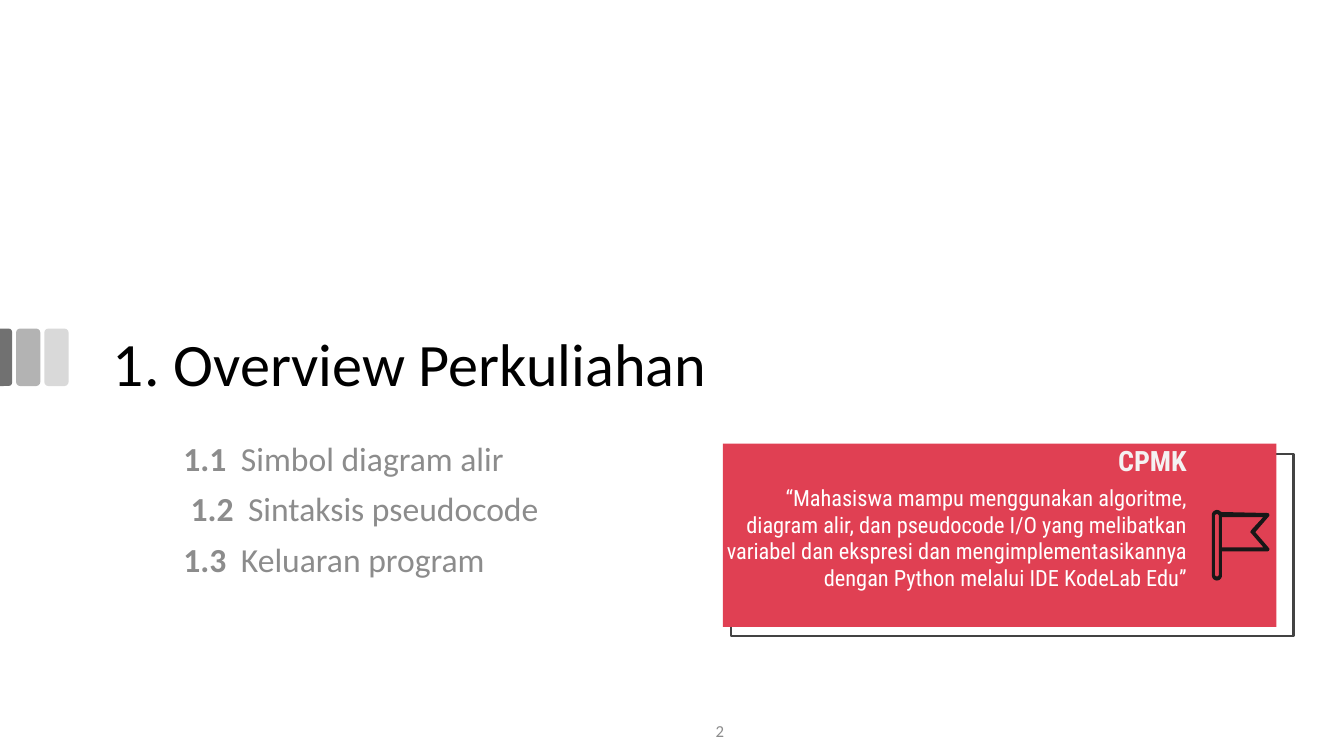
import math

import pptx
import pptx.dml.color
import pptx.enum.shapes
import pptx.enum.text
import pptx.oxml
import pptx.oxml.ns
import pptx.util

Inches, Pt = pptx.util.Inches, pptx.util.Pt
RGBColor = pptx.dml.color.RGBColor
SHAPE = pptx.enum.shapes.MSO_SHAPE
ALIGN = pptx.enum.text.PP_ALIGN
ANCHOR = pptx.enum.text.MSO_ANCHOR

BLACK = RGBColor(0x00, 0x00, 0x00)
GREY = RGBColor(0x8C, 0x8C, 0x8C)
BARS = [RGBColor(0xD9, 0xD9, 0xD9), RGBColor(0xB3, 0xB3, 0xB3)]
EDGE_BAR = RGBColor(0x71, 0x71, 0x71)
RED = RGBColor(0xE0, 0x40, 0x53)
FRAME = RGBColor(0x43, 0x43, 0x43)
WHITE = RGBColor(0xFF, 0xFF, 0xFF)
OFF_WHITE = RGBColor(0xF4, 0xF2, 0xF2)
INK = RGBColor(0x18, 0x17, 0x17)
BODY_FONT, CARD_FONT = "Calibri", "Roboto Condensed"


def place(sp, x, y, w, h):
    sp.left, sp.top, sp.width, sp.height = (Inches(v) for v in (x, y, w, h))


def add_run(p, text, font, size, color, bold=False):
    r = p.add_run()
    r.text = text
    r.font.name, r.font.size, r.font.bold = font, Pt(size), bold
    r.font.color.rgb = color


def setup_frame(tf, anchor, margin_y=0.05):
    tf.word_wrap = True
    tf.auto_size = pptx.enum.text.MSO_AUTO_SIZE.NONE
    tf.vertical_anchor = anchor
    tf.margin_left = tf.margin_right = Inches(0.1)
    tf.margin_top = tf.margin_bottom = Inches(margin_y)


def paint(sp, fill):
    sp.shadow.inherit = False
    sp.fill.solid()
    sp.fill.fore_color.rgb = fill
    sp.line.fill.background()


def add_filled(slide, kind, x, y, w, h, fill):
    sp = slide.shapes.add_shape(kind, *(Inches(v) for v in (x, y, w, h)))
    paint(sp, fill)
    return sp


def add_label(slide, x, y, w, h, text, font, size, color, align, anchor,
              bold=False, margin_y=0.1):
    sp = slide.shapes.add_textbox(*(Inches(v) for v in (x, y, w, h)))
    setup_frame(sp.text_frame, anchor, margin_y)
    p = sp.text_frame.paragraphs[0]
    p.alignment = align
    add_run(p, text, font, size, color, bold)


def add_side_bars(slide, x, y, w, h):
    # Two full bars, then one cut by the slide edge
    bar_w, step = 0.24, 0.28
    for i, color in enumerate(BARS):
        sp = add_filled(slide, SHAPE.ROUNDED_RECTANGLE,
                        x + w - bar_w - i * step, y, bar_w, h, color)
        sp.adjustments[0] = 0.167
    edge_w = 0.12
    sp = add_filled(slide, SHAPE.ROUND_2_SAME_RECTANGLE, x + (edge_w - h) / 2,
                    y + (h - edge_w) / 2, h, edge_w, EDGE_BAR)
    sp.rotation = 90
    sp.adjustments[0], sp.adjustments[1] = 0.292, 0


def add_title(slide, x, y, w, h):
    sp = slide.shapes.title
    place(sp, x, y, w, h)
    setup_frame(sp.text_frame, ANCHOR.BOTTOM)
    p = sp.text_frame.paragraphs[0]
    p.alignment, p.line_spacing = ALIGN.LEFT, 0.9
    add_run(p, "1. ", BODY_FONT, 44, BLACK)
    add_run(p, "Overview Perkuliahan", BODY_FONT, 43, BLACK)


def add_topics(slide, x, y, w, h):
    topics = [("1.1", "Simbol diagram alir", 0.56),
              ("1.2", "Sintaksis pseudocode", 0.63),
              ("1.3", "Keluaran program", 0.56)]
    hang = 0.57
    sp = slide.placeholders[1]
    place(sp, x, y, w, h)
    tf = sp.text_frame
    setup_frame(tf, ANCHOR.TOP)
    for i, (number, topic, indent) in enumerate(topics):
        p = tf.paragraphs[0] if i == 0 else tf.add_paragraph()
        p.alignment, p.line_spacing = ALIGN.JUSTIFY, 0.9
        p.space_before, p.space_after = Pt(10), Pt(0)
        # Hanging indent without a bullet
        pPr = p._p.get_or_add_pPr()
        pPr.set("marL", str(Inches(indent + hang)))
        pPr.set("indent", str(-Inches(hang)))
        pPr.append(pptx.oxml.parse_xml(
            "<a:buNone %s/>" % pptx.oxml.ns.nsdecls("a")))
        add_run(p, number + "\t", BODY_FONT, 24, GREY, True)
        add_run(p, topic, BODY_FONT, 24, GREY)


def arc(cx, cy, radius, start, end, steps=12):
    angles = [math.radians(start + (end - start) * i / steps)
              for i in range(steps + 1)]
    return [(cx + radius * math.cos(a), cy + radius * math.sin(a))
            for a in angles]


def add_flag(slide, x, y):
    # Outline of pole and pennant, then the two openings
    outline = (arc(0.05, 0.05, 0.05, 180, 323)
               + arc(0.55, 0.05, 0.02, 270, 400)
               + [(0.43, 0.22)]
               + arc(0.55, 0.39, 0.02, -40, 90)
               + [(0.1, 0.41)]
               + arc(0.05, 0.65, 0.05, 0, 180))
    pennant = [(0.51, 0.07), (0.39, 0.2), (0.38, 0.22), (0.39, 0.23),
               (0.51, 0.37), (0.1, 0.37), (0.1, 0.07)]
    pole = arc(0.05, 0.06, 0.02, 180, 360) + arc(0.05, 0.64, 0.02, 0, 180)
    units = 1000
    builder = None
    for contour in (outline, pennant, pole):
        pts = [(px * units, py * units) for px, py in contour]
        if builder is None:
            builder = slide.shapes.build_freeform(*pts[0], Inches(1) / units)
        else:
            builder.move_to(*pts[0])
        builder.add_line_segments(pts[1:], close=True)
    paint(builder.convert_to_shape(Inches(x), Inches(y)), INK)


def add_outcome_card(slide, x, y, w, h):
    # Offset frame behind the red panel
    frame = slide.shapes.add_shape(
        SHAPE.RECTANGLE, Inches(x + 0.08), Inches(y + 0.1),
        Inches(w + 0.09), Inches(h - 0.01))
    frame.shadow.inherit = False
    frame.fill.background()
    frame.line.color.rgb, frame.line.width = FRAME, Pt(1.5)
    add_filled(slide, SHAPE.RECTANGLE, x, y, w, h, RED)
    # Heading and statement share a right edge
    add_label(slide, x - 0.13, y + 0.3, 4.83, 1.33,
              "“Mahasiswa mampu menggunakan algoritme, diagram alir, dan "
              "pseudocode I/O yang melibatkan variabel dan ekspresi dan "
              "mengimplementasikannya dengan Python melalui IDE KodeLab Edu”",
              CARD_FONT, 16, WHITE, ALIGN.RIGHT, ANCHOR.TOP)
    add_label(slide, x + 1.19, y - 0.18, 3.51, 0.61, "CPMK",
              CARD_FONT, 20, OFF_WHITE, ALIGN.RIGHT, ANCHOR.BOTTOM, True)
    add_flag(slide, x + 4.85, y + 0.66)


def build_section_slide(prs):
    slide = prs.slides.add_slide(prs.slide_layouts[1])
    add_side_bars(slide, 0, 3.26, 0.68, 0.57)
    add_title(slide, 1.02, 3.02, 11.5, 1)
    add_topics(slide, 1.16, 4.34, 7.59, 2.17)
    add_outcome_card(slide, 7.17, 4.4, 5.49, 1.82)
    # Slide number
    add_label(slide, 5.64, 7.05, 3, 0.4, "2", BODY_FONT, 12, GREY,
              ALIGN.CENTER, ANCHOR.MIDDLE, margin_y=0.05)


def main():
    prs = pptx.Presentation()
    prs.slide_width, prs.slide_height = Inches(13.33), Inches(7.5)
    build_section_slide(prs)
    prs.save("out.pptx")


if __name__ == "__main__":
    main()
